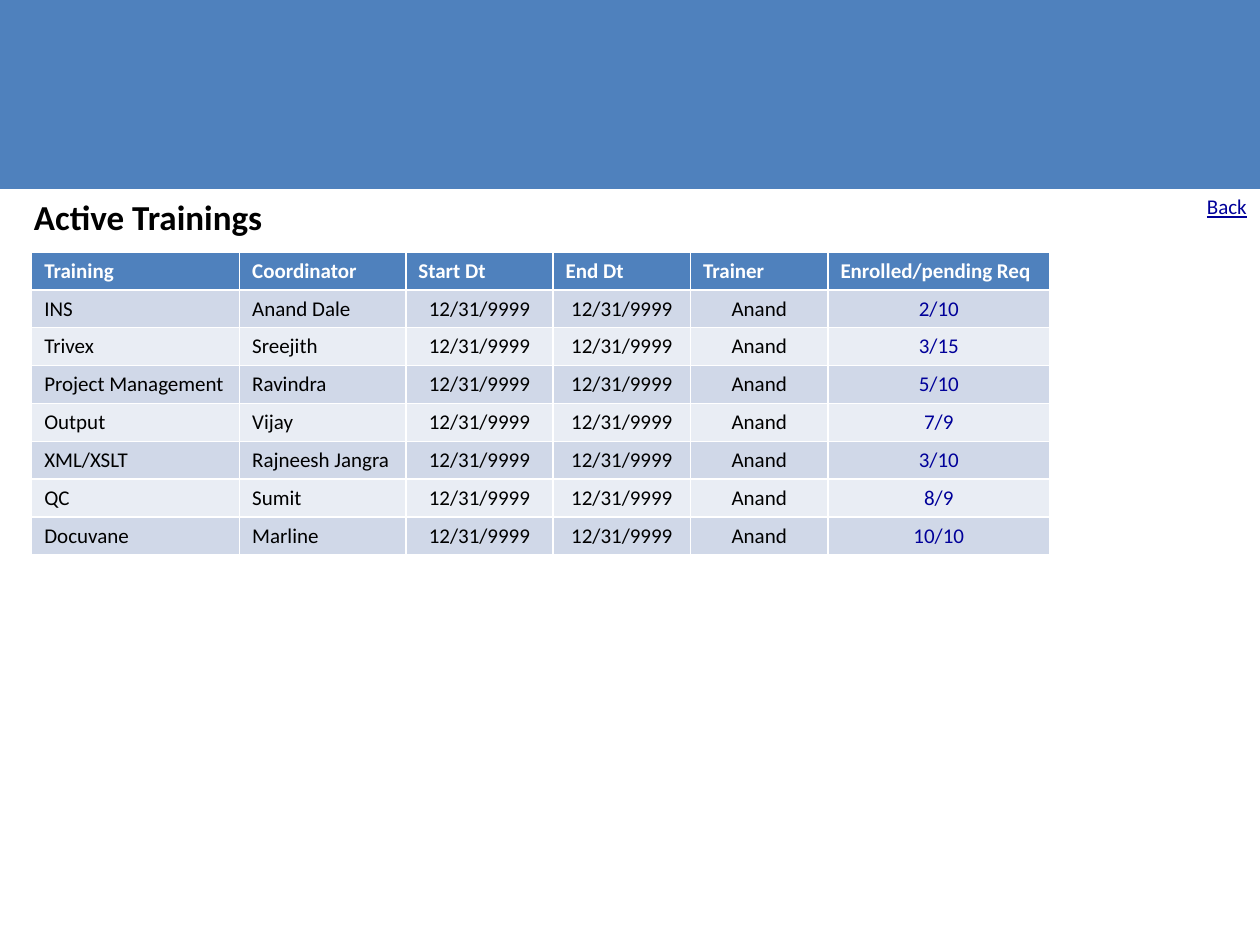
import pptx
import pptx.dml.color
import pptx.enum.shapes
import pptx.enum.text
import pptx.util

Cm = pptx.util.Cm
ALIGN = pptx.enum.text.PP_ALIGN

FONT = "Calibri"
COLORS = {
    "blue": "4F81BD",
    "band_dark": "D0D8E8",
    "band_light": "E9EDF4",
    "link": "000099",
    "black": "000000",
    "white": "FFFFFF",
}

HEADERS = ["Training", "Coordinator", "Start Dt", "End Dt", "Trainer",
           "Enrolled/pending Req"]
COLUMN_WIDTHS = [4.19, 3.35, 2.97, 2.77, 2.77, 4.47]
ROW_HEIGHT = 0.76
DATE = "12/31/9999"
TRAINER = "Anand"
TRAININGS = [
    ("INS", "Anand Dale", "2/10"),
    ("Trivex", "Sreejith", "3/15"),
    ("Project Management", "Ravindra", "5/10"),
    ("Output", "Vijay", "7/9"),
    ("XML/XSLT", "Rajneesh Jangra", "3/10"),
    ("QC", "Sumit", "8/9"),
    ("Docuvane", "Marline", "10/10"),
]


def rgb(name):
    return pptx.dml.color.RGBColor.from_string(COLORS[name])


def write_text(text_frame, text, size, color, bold=False, underline=False,
               align=ALIGN.LEFT):
    text_frame.text = text
    paragraph = text_frame.paragraphs[0]
    paragraph.alignment = align
    font = paragraph.runs[0].font
    font.name = FONT
    font.size = pptx.util.Pt(size)
    font.bold = bold
    font.underline = underline
    font.color.rgb = rgb(color)


def add_banner(slide, width, height):
    banner = slide.shapes.add_shape(
        pptx.enum.shapes.MSO_SHAPE.RECTANGLE, 0, 0, width, height)
    banner.shadow.inherit = False
    banner.fill.solid()
    banner.fill.fore_color.rgb = rgb("blue")
    banner.line.fill.background()


def place_title(slide, text):
    title = slide.shapes.title
    title.left, title.top = Cm(0.43), Cm(3.81)
    title.width, title.height = Cm(5.16), Cm(1.11)
    title.text_frame.word_wrap = False
    title.text_frame.auto_size = pptx.enum.text.MSO_AUTO_SIZE.NONE
    write_text(title.text_frame, text, 20, "black", bold=True)


def add_back_label(slide):
    label = slide.shapes.add_textbox(Cm(24.08), Cm(3.78), Cm(1.32), Cm(0.77))
    label.text_frame.word_wrap = False
    write_text(label.text_frame, "Back", 12, "link", underline=True)


def fill_cell(cell, text, fill, color, **text_format):
    cell.fill.solid()
    cell.fill.fore_color.rgb = rgb(fill)
    write_text(cell.text_frame, text, 12, color, **text_format)


def add_training_table(slide):
    row_count = len(TRAININGS) + 1
    table = slide.shapes.add_table(
        row_count, len(HEADERS), Cm(0.64), Cm(5.08),
        Cm(sum(COLUMN_WIDTHS)), Cm(ROW_HEIGHT * row_count)).table
    for column, width in zip(table.columns, COLUMN_WIDTHS):
        column.width = Cm(width)

    # Header row
    for column_index, header in enumerate(HEADERS):
        fill_cell(table.cell(0, column_index), header, "blue", "white", bold=True)

    # Banded rows: names on the left, the rest centred, enrolment in link colour
    for row_index, (training, coordinator, enrolled) in enumerate(TRAININGS, 1):
        band = "band_dark" if row_index % 2 else "band_light"
        values = [training, coordinator, DATE, DATE, TRAINER, enrolled]
        for column_index, value in enumerate(values):
            is_last = column_index == len(values) - 1
            fill_cell(table.cell(row_index, column_index), value, band,
                      "link" if is_last else "black",
                      align=ALIGN.LEFT if column_index < 2 else ALIGN.CENTER)


def main():
    presentation = pptx.Presentation()
    presentation.slide_width, presentation.slide_height = Cm(25.4), Cm(19.05)
    slide = presentation.slides.add_slide(presentation.slide_layouts[5])
    add_banner(slide, presentation.slide_width, Cm(3.81))
    add_back_label(slide)
    place_title(slide, "Active Trainings")
    add_training_table(slide)
    presentation.save("out.pptx")


main()
